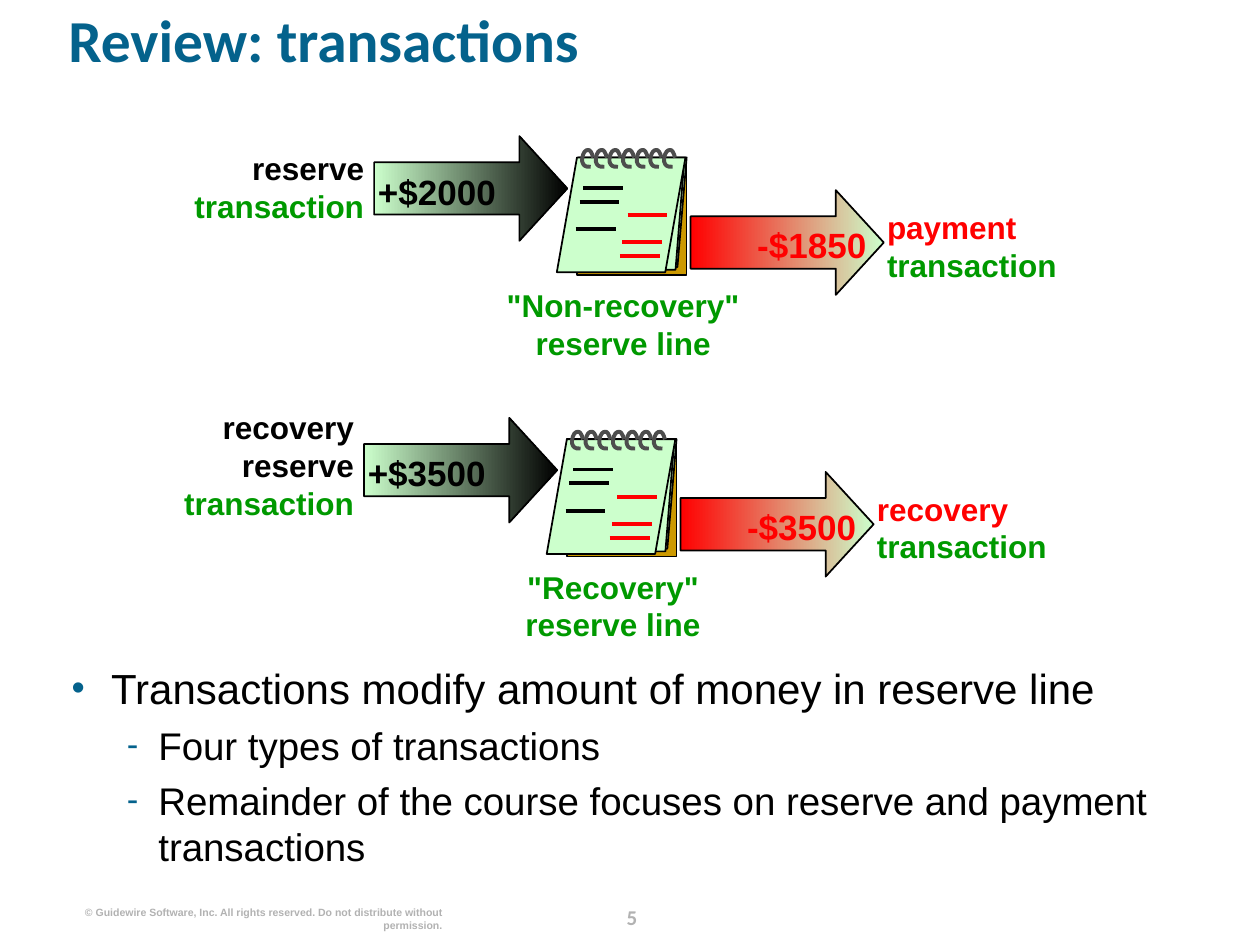
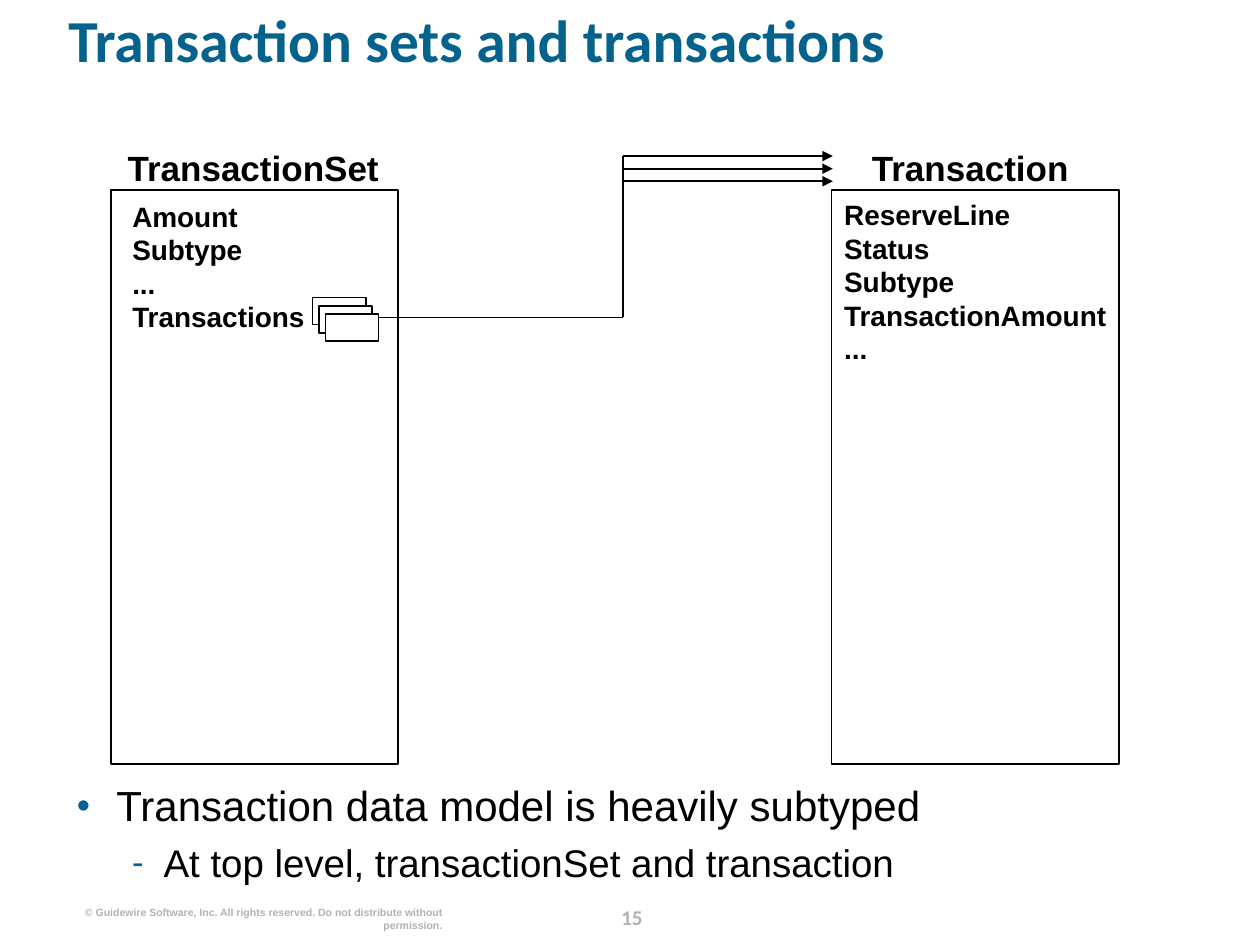
from dataclasses import dataclass

from lxml import etree
from pptx import Presentation
from pptx.dml.color import RGBColor
from pptx.enum.shapes import MSO_CONNECTOR, MSO_SHAPE
from pptx.enum.text import MSO_ANCHOR, MSO_AUTO_SIZE, PP_ALIGN
from pptx.oxml.ns import qn
from pptx.util import Pt

LEFT, MID, RIGHT = PP_ALIGN.LEFT, PP_ALIGN.CENTER, PP_ALIGN.RIGHT
RECT, ARROW, SLANT = MSO_SHAPE.RECTANGLE, MSO_SHAPE.RIGHT_ARROW, MSO_SHAPE.PARALLELOGRAM
STRAIGHT = MSO_CONNECTOR.STRAIGHT
TOP, FIXED = MSO_ANCHOR.TOP, MSO_AUTO_SIZE.NONE


@dataclass(frozen=True)
class Theme:
    blue: str = "04628C"
    black: str = "000000"
    white: str = "FFFFFF"
    red: str = "FF0000"
    green: str = "009900"
    mint: str = "CCFFCC"
    gold: str = "CC9900"
    coil: str = "4D4D4D"
    gray: str = "B2B2B2"
    head: str = "Calibri"
    body: str = "Arial"
    title: int = 34
    point: int = 24
    dash: int = 22
    sum: int = 20
    label: int = 18
    field: int = 16
    page: int = 12
    legal: int = 6
    thin: float = 1
    thick: float = 2.25


LEGAL = "© Guidewire Software, Inc. All rights reserved. Do not distribute without permission."
COIL = [(6.4, 4.4), (5.8, 2.4), (5, 0.9), (4.3, 0.2), (3.6, 0), (2.5, 0.2), (1.5, 1),
        (0.6, 2.7), (0.1, 5), (0.1, 6.6), (0.7, 8.1), (1.5, 9), (2.7, 9.5), (5, 9.6)]
SHEETS = [(325.4, 90, 67, 62.6, 0.084), (326.9, 92.2, 64.1, 61.9, 0.08),
          (318.2, 90, 73.5, 65.5, 0.176)]
BLACK_ROWS = [(333.4, 107.3), (331.2, 115.2), (329, 131)]
RED_ROWS = [(358.6, 123.1), (355.7, 138.4), (354.2, 146.2)]


def rgb(code):
    return RGBColor.from_string(code)


def write(par, text, *, size, color, font, bold=True, align=LEFT, gap=None):
    par.alignment = align
    if gap is not None:
        par.line_spacing = gap
    for turn, part in enumerate(text.split("\n")):
        if turn:
            par.add_line_break()
            etree.SubElement(par._p[-1], qn("a:rPr"), sz=str(size * 100))
        if part:
            run = par.add_run()
            run.text = part
            run.font.size = Pt(size)
            run.font.name = font
            run.font.bold = bold
            run.font.color.rgb = rgb(color)


class Page:
    def __init__(self, deck, theme):
        self.deck = deck
        self.theme = theme
        self.slide = None

    def start(self, title, number):
        t = self.theme
        self.slide = self.deck.slides.add_slide(self.deck.slide_layouts[5])
        name = self.slide.shapes.title
        name.left, name.top, name.width, name.height = Pt(39), Pt(9.4), Pt(655), Pt(58)
        write(self.clear(name), title, size=t.title, color=t.blue, font=t.head, gap=0.8)
        self.text(340.6, 513.4, 41, 18, (number, t.gray), size=t.page, font=t.head,
                  align=MID, gap=Pt(18))
        self.text(44, 517.7, 208.8, 14, (LEGAL, t.gray), size=t.legal, align=RIGHT)

    def clear(self, shape):
        frame = shape.text_frame
        frame.margin_left = frame.margin_right = frame.margin_top = frame.margin_bottom = 0
        frame.word_wrap = True
        frame.auto_size = FIXED
        frame.vertical_anchor = TOP
        return frame.paragraphs[0]

    def text(self, x, y, wide, high, *parts, size, font=None, align=LEFT, gap=None):
        box = self.slide.shapes.add_textbox(Pt(x), Pt(y), Pt(wide), Pt(high))
        par = self.clear(box)
        for words, color in parts:
            write(par, words, size=size, color=color, font=font or self.theme.body,
                  align=align, gap=gap)

    def points(self, x, y, high, lead, *rest):
        t = self.theme
        box = self.slide.shapes.add_textbox(Pt(x), Pt(y), Pt(655), Pt(high))
        par = self.clear(box)
        self.mark(par, "•", 22.5, 22.5)
        write(par, lead, size=t.point, color=t.black, font=t.body, bold=False)
        for item in rest:
            par = box.text_frame.add_paragraph()
            par.level = 1
            self.mark(par, "-", 49.5, 18)
            par.space_before = Pt(5)
            write(par, item, size=t.dash, color=t.black, font=t.body, bold=False)

    def mark(self, par, sign, edge, hang):
        props = par._p.get_or_add_pPr()
        props.set("marL", str(Pt(edge)))
        props.set("indent", str(-Pt(hang)))
        tint = etree.SubElement(props, qn("a:buClr"))
        etree.SubElement(tint, qn("a:srgbClr"), val=self.theme.blue)
        etree.SubElement(props, qn("a:buSzPct"), val="90000")
        etree.SubElement(props, qn("a:buFont"), typeface=self.theme.body)
        etree.SubElement(props, qn("a:buChar"), char=sign)

    def shape(self, kind, x, y, wide, high, fill=None, bends=()):
        item = self.slide.shapes.add_shape(kind, Pt(x), Pt(y), Pt(wide), Pt(high))
        for spot, bend in enumerate(bends):
            item.adjustments[spot] = bend
        self.paint(item, self.theme.black, self.theme.thin, fill)
        return item

    def paint(self, item, color, width, fill=None):
        item.shadow.inherit = False
        item.line.color.rgb = rgb(color)
        item.line.width = Pt(width)
        if fill:
            item.fill.solid()
            item.fill.fore_color.rgb = rgb(fill)
        else:
            item.fill.background()

    def arrow(self, x, y, first, last):
        fill = self.shape(ARROW, x, y, 110.4, 59.8, bends=(0.5, 0.458)).fill
        fill.gradient()
        fill.gradient_angle = 0
        for stop, color in zip(fill.gradient_stops, (first, last)):
            stop.color.rgb = rgb(color)

    def line(self, x, y, to_x, to_y, color, width, tip=False):
        item = self.slide.shapes.add_connector(STRAIGHT, Pt(x), Pt(y), Pt(to_x), Pt(to_y))
        item.line.color.rgb = rgb(color)
        item.line.width = Pt(width)
        if tip:
            etree.SubElement(item.line._get_or_add_ln(), qn("a:tailEnd"), type="triangle")
        etree.SubElement(item._element.spPr, qn("a:effectLst"))

    def curve(self, x, y, dots):
        spots = [(Pt(x + a), Pt(y + b)) for a, b in dots]
        path = self.slide.shapes.build_freeform(*spots[0])
        path.add_line_segments(spots[1:], close=False)
        self.paint(path.convert_to_shape(), self.theme.coil, self.theme.thick)

    def pad(self, dx, dy):
        t = self.theme
        self.shape(RECT, 329.8 + dx, 90 + dy, 62.6, 67, t.gold)
        for x, y, wide, high, bend in SHEETS:
            self.shape(SLANT, x + dx, y + dy, wide, high, t.mint, (bend,))
        for ring in range(7):
            self.curve(332.6 + 7.8 * ring + dx, 85.7 + dy, COIL)
        for color, rows in ((t.black, BLACK_ROWS), (t.red, RED_ROWS)):
            for x, y in rows:
                self.line(x + dx, y + dy, x + dx + 22.8, y + dy, color, t.thick)

    def flow(self, dx, dy, plus, source, source_y, minus, target, name):
        t = self.theme
        last = ("\ntransaction", t.green)
        self.arrow(213.8 + dx, 77.8 + dy, t.mint, t.black)
        self.text(216 + dx, 97.2 + dy, 111, 24, (plus, t.black), size=t.sum)
        self.text(93.6 + dx, source_y, 114.5, 43, (source, t.black), last,
                  size=t.label, align=RIGHT)
        self.arrow(394.6 + dx, 108.7 + dy, t.red, t.mint)
        self.text(432.7 + dx, 127.6 + dy, 75, 24, (minus, t.red), size=t.sum)
        self.text(506.9 + dx, 118.8 + dy, 131.8, 43, (target, t.red), last, size=t.label)
        self.pad(dx, dy)
        self.text(272.9 + dx, 163.4 + dy, 166.3, 43, (name + "\nreserve line", t.green),
                  size=t.label, align=MID)

    def entity(self, x, name_x, name, field_x, field_y, fields):
        t = self.theme
        self.shape(RECT, x, 108.7, 164.2, 328)
        self.text(name_x, 83.5, 154, 24, (name, t.black), size=t.sum, align=MID)
        self.text(field_x, field_y, 161.3, 97, (fields, t.black), size=t.field)


def review(page):
    page.start("Review: transactions", "5")
    page.flow(0, 0, "+$2000", "reserve", 85, "-$1850", "payment", '"Non-recovery"')
    page.flow(-5.8, 161, "+$3500", "recovery\nreserve", 233.3, "-$3500", "recovery",
              '"Recovery"')
    page.points(41, 378.7, 125, "Transactions modify amount of money in reserve line",
                "Four types of transactions",
                "Remainder of the course focuses on reserve and payment transactions")


def model(page):
    t = page.theme
    page.start("Transaction sets and transactions", "15")
    page.entity(63.4, 67.7, "TransactionSet", 75.6, 113.8,
                "Amount\nSubtype\n...\nTransactions")
    page.entity(475.2, 477.4, "Transaction", 482.4, 113,
                "ReserveLine\nStatus\nSubtype\nTransactionAmount\n...")
    for card in range(3):
        page.shape(RECT, 178.6 + 3.7 * card, 170 + 4.7 * card, 30.4, 15.5, t.white)
    page.line(216.7, 181.4, 355.9, 181.4, t.black, t.thin)
    page.line(355.9, 181.4, 355.9, 89.2, t.black, t.thin)
    for step in range(3):
        y = 89.2 + 7.2 * step
        page.line(355.9, y, 475.9, y, t.black, t.thin, tip=True)
    page.points(44, 445.7, 56, "Transaction data model is heavily subtyped",
                "At top level, transactionSet and transaction")


def main():
    deck = Presentation()
    deck.slide_width, deck.slide_height = Pt(720), Pt(540)
    page = Page(deck, Theme())
    review(page)
    model(page)
    deck.save("out.pptx")


if __name__ == "__main__":
    main()
